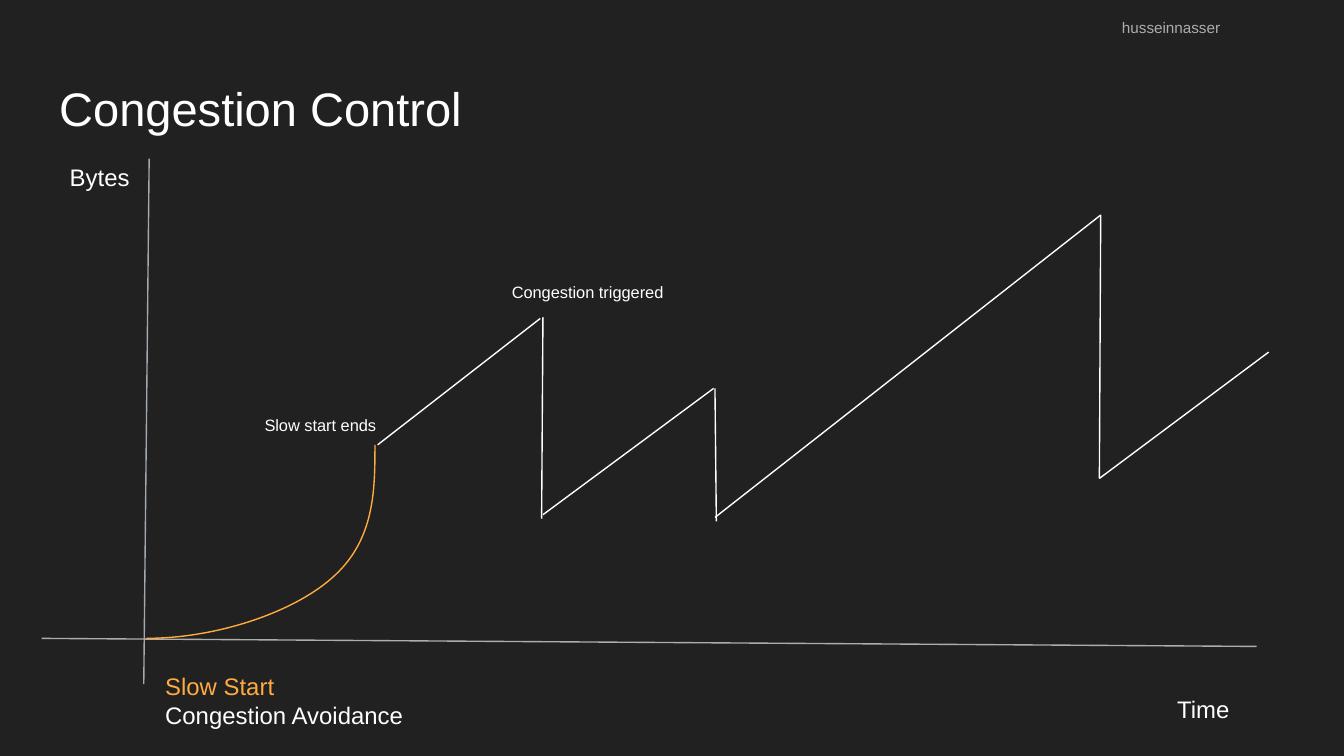
from lxml import etree
from pptx import Presentation
from pptx.dml.color import RGBColor
from pptx.enum.shapes import MSO_CONNECTOR
from pptx.enum.text import MSO_ANCHOR, MSO_AUTO_SIZE, PP_ALIGN
from pptx.oxml.ns import qn
from pptx.util import Inches, Pt

STRAIGHT = MSO_CONNECTOR.STRAIGHT
TOP = MSO_ANCHOR.TOP
FIXED = MSO_AUTO_SIZE.NONE
LEFT = PP_ALIGN.LEFT

COLORS = {
    "background": "212121",
    "white": "FFFFFF",
    "gray": "ADADAD",
    "axis": "A2A9B1",
    "orange": "FFAB40",
}


def write(box, place, lines, size, spacing=1.0):
    """Place a text holder and fill it with (text, color) lines."""
    box.left, box.top, box.width, box.height = map(Inches, place)
    frame = box.text_frame
    frame.word_wrap = True
    frame.auto_size = FIXED
    frame.vertical_anchor = TOP
    frame.margin_left = frame.margin_right = Inches(0.1)
    frame.margin_top = frame.margin_bottom = Inches(0.1)
    frame.text = "\n".join(text for text, _ in lines)
    for paragraph, (_, color) in zip(frame.paragraphs, lines):
        paragraph.alignment = LEFT
        paragraph.line_spacing = spacing
        paragraph.font.name = "Arial"
        paragraph.font.size = Pt(size)
        paragraph.font.color.rgb = RGBColor.from_string(COLORS[color])


def draw_line(start, end, color):
    line = slide.shapes.add_connector(STRAIGHT, *map(Inches, start + end))
    line.line.color.rgb = RGBColor.from_string(COLORS[color])
    line.line.width = Pt(0.75)
    etree.SubElement(line._element.spPr, qn("a:effectLst"))


prs = Presentation()
prs.slide_width = Inches(10)
prs.slide_height = prs.slide_width * 9 // 16
slide = prs.slides.add_slide(prs.slide_layouts[5])
slide.background.fill.solid()
slide.background.fill.fore_color.rgb = RGBColor.from_string(COLORS["background"])

write(slide.shapes.title, (0.34, 0.49, 9.32, 0.63),
      [("Congestion Control", "white")], 25.2)

# Axes
draw_line((1.11, 1.18), (1.07, 5.09), "axis")
draw_line((0.31, 4.75), (9.35, 4.81), "gray")

# Slow start: two Bezier segments, each given as two controls and an end
curve_points = [(1.61, 4.75), (2.17, 4.56), (2.46, 4.31),
                (2.79, 4.03), (2.79, 3.65), (2.79, 3.31)]
builder = slide.shapes.build_freeform(Inches(1.09), Inches(4.75))
builder.add_line_segments([(Inches(x), Inches(y)) for x, y in curve_points], close=False)
slow_start = builder.convert_to_shape()
slow_start.shadow.inherit = False
slow_start.fill.background()
slow_start.line.color.rgb = RGBColor.from_string(COLORS["orange"])
slow_start.line.width = Pt(0.75)
# Turn every three straight steps into one cubic segment
steps = list(slow_start._element.iter(qn("a:lnTo")))
outline = steps[0].getparent()
for first in range(0, len(steps), 3):
    cubic = etree.SubElement(outline, qn("a:cubicBezTo"))
    for step in steps[first:first + 3]:
        cubic.append(step[0])
        outline.remove(step)

# Congestion avoidance: climbs and drops
avoidance = [
    ((2.81, 3.31), (4.02, 2.37)),
    ((4.03, 3.86), (4.04, 2.36)),
    ((4.04, 3.83), (5.31, 2.89)),
    ((5.33, 3.88), (5.32, 2.89)),
    ((5.32, 3.85), (8.19, 1.6)),
    ((8.18, 3.56), (8.19, 1.6)),
    ((8.18, 3.56), (9.44, 2.62)),
]
for start, end in avoidance:
    draw_line(start, end, "white")

labels = [
    ((8.25, 0.07, 1.7, 0.27), [("husseinnasser", "gray")], 8.2, 0.7),
    ((1.13, 4.9, 3.81, 0.63),
     [("Slow Start", "orange"), ("Congestion Avoidance", "white")], 12.8, 1.0),
    ((0.42, 1.11, 0.79, 0.37), [("Bytes", "white")], 12.8, 1.0),
    ((8.66, 5.07, 0.79, 0.37), [("Time", "white")], 12.8, 1.0),
    ((1.87, 2.99, 1.17, 0.37), [("Slow start ends", "white")], 8.8, 1.0),
    ((3.71, 2, 1.62, 0.37), [("Congestion triggered", "white")], 8.8, 1.0),
]
for place, lines, size, spacing in labels:
    label = slide.shapes.add_textbox(*map(Inches, place))
    write(label, place, lines, size, spacing)

prs.save("out.pptx")
